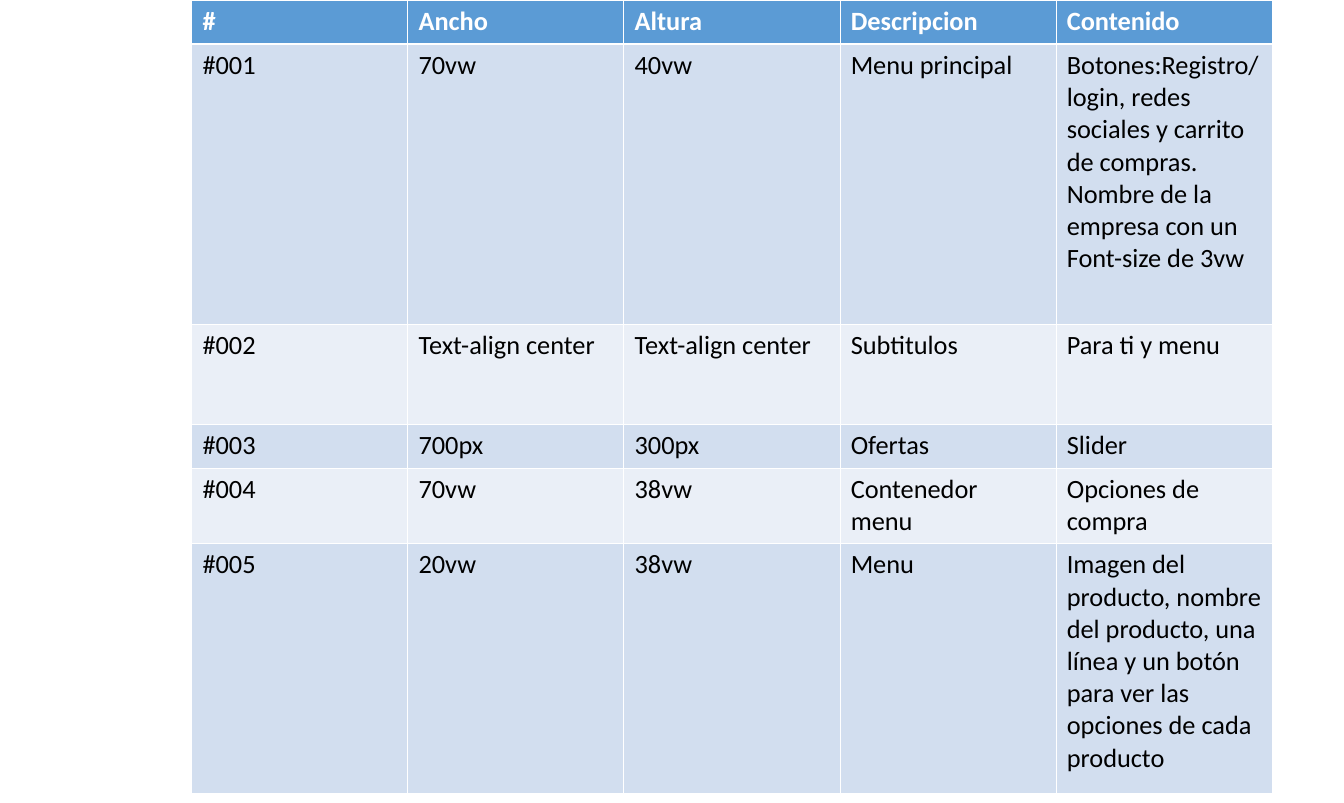
from lxml.etree import SubElement
from pptx import Presentation
from pptx.dml.color import RGBColor
from pptx.oxml.ns import qn
from pptx.util import Inches, Pt

HEADINGS = ["#", "Ancho", "Altura", "Descripcion", "Contenido"]
SECTIONS = [
    ["#001", "70vw", "40vw", "Menu principal",
     "Botones:Registro/login, redes sociales y carrito de compras.\n"
     "Nombre de la empresa con un Font-size de 3vw"],
    ["#002", "Text-align center", "Text-align center", "Subtitulos", "Para ti y menu"],
    ["#003", "700px", "300px", "Ofertas", "Slider"],
    ["#004", "70vw", "38vw", "Contenedor menu", "Opciones de compra"],
    ["#005", "20vw", "38vw", "Menu",
     "Imagen del producto, nombre del producto, una línea y un botón "
     "para ver las opciones de cada producto"],
]
ROW_HEIGHTS = [0.65, 4.13, 1.48, 0.65, 1.03, 3.69]
COLUMN_WIDTH = 3.19


def rgb(value):
    return RGBColor.from_string(value)


class LayoutSheet:
    WHITE, BLACK, HEADER = "FFFFFF", "000000", "5B9BD5"
    BANDS = ["D2DEEF", "EAEFF7"]
    CELL_FORMAT = {
        "margin_left": Inches(0.16), "margin_right": Inches(0.16),
        "margin_top": Inches(0.08), "margin_bottom": Inches(0.08),
    }
    FONT_FORMAT = {"name": "Calibri", "size": Pt(28)}

    def __init__(self, slide):
        self.slide = slide

    def apply(self, target, values):
        for attribute, value in values.items():
            setattr(target, attribute, value)

    def border(self, cell, side, width):
        properties = cell._tc.get_or_add_tcPr()
        line = SubElement(properties, qn(f"a:ln{side}"), w=str(Pt(width)))
        fill = SubElement(line, qn("a:solidFill"))
        SubElement(fill, qn("a:srgbClr"), val=self.WHITE)

    def cell(self, cell, text, row):
        is_header = row == 0
        self.apply(cell, self.CELL_FORMAT)
        widths = {"L": 1, "R": 1, "T": 3 if row == 1 else 1, "B": 3 if is_header else 1}
        for side, width in widths.items():
            self.border(cell, side, width)
        cell.fill.solid()
        cell.fill.fore_color.rgb = rgb(self.HEADER if is_header else self.BANDS[(row - 1) % 2])
        cell.text = text
        for paragraph in cell.text_frame.paragraphs:
            for run in paragraph.runs:
                self.apply(run.font, {**self.FONT_FORMAT, "bold": is_header})
                run.font.color.rgb = rgb(self.WHITE if is_header else self.BLACK)

    def table(self, left, top, rows, heights, column_width):
        columns = len(rows[0])
        table = self.slide.shapes.add_table(
            len(rows), columns, Inches(left), Inches(top),
            Inches(column_width * columns), Inches(sum(heights))).table
        for column in table.columns:
            column.width = Inches(column_width)
        for row, (texts, height) in enumerate(zip(rows, heights)):
            table.rows[row].height = Inches(height)
            for column, text in enumerate(texts):
                self.cell(table.cell(row, column), text, row)


def main():
    deck = Presentation()
    deck.slide_width, deck.slide_height = Inches(19.84), Inches(11.85)
    sheet = LayoutSheet(deck.slides.add_slide(deck.slide_layouts[6]))
    sheet.table(2.83, 0, [HEADINGS, *SECTIONS], ROW_HEIGHTS, COLUMN_WIDTH)
    deck.save("out.pptx")


if __name__ == "__main__":
    main()
